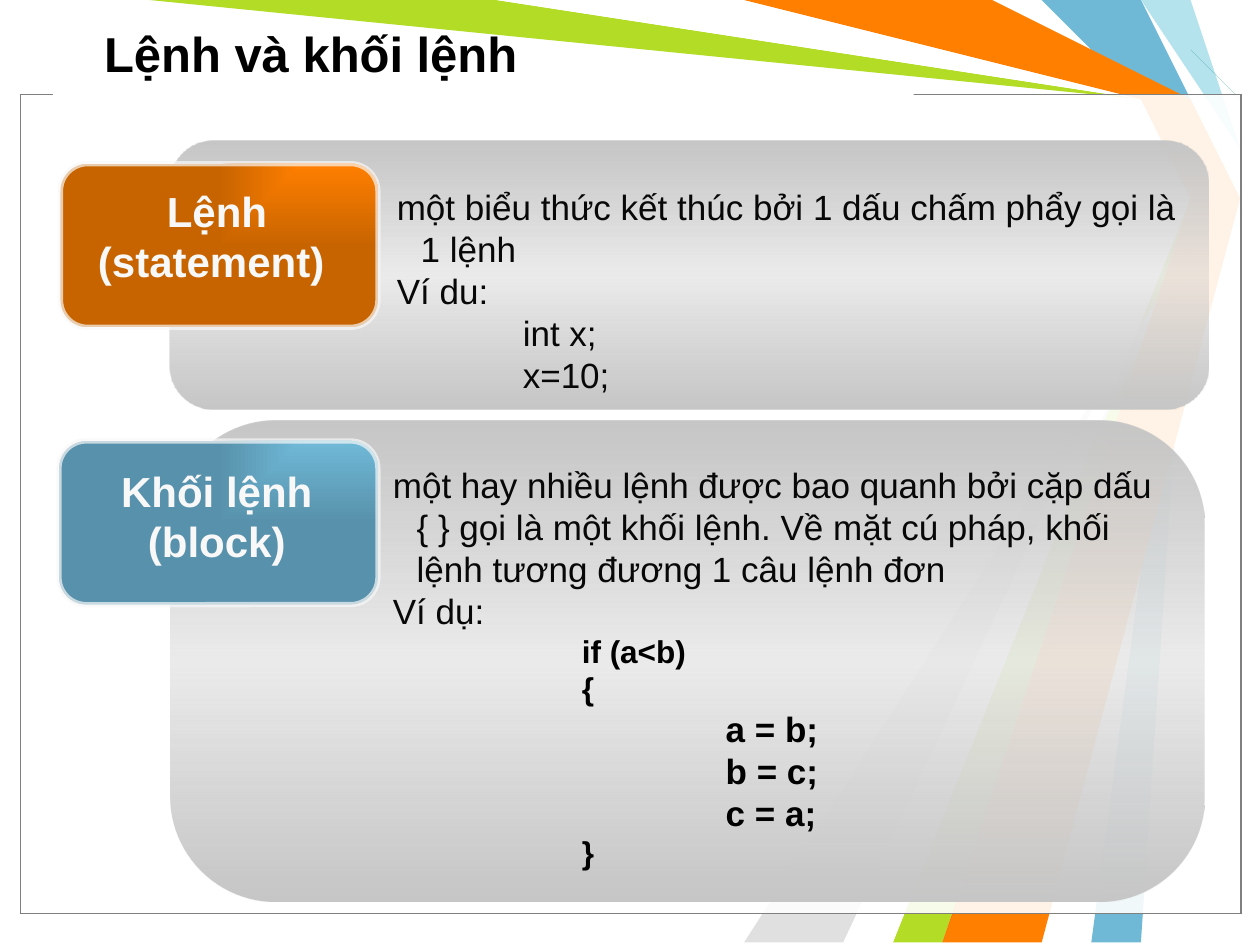
"""Build a slide that explains statements and blocks in C."""
from dataclasses import dataclass
from typing import Optional

import pptx
import pptx.dml.color
import pptx.enum.shapes
import pptx.enum.text
import pptx.oxml
import pptx.oxml.ns
import pptx.util

Cm = pptx.util.Cm
Pt = pptx.util.Pt
SHAPE = pptx.enum.shapes.MSO_SHAPE
ALIGN = pptx.enum.text.PP_ALIGN
ANCHOR = pptx.enum.text.MSO_ANCHOR
Box = tuple[float, float, float, float]
NS = pptx.oxml.ns.nsdecls("a")

LINEAR = '<a:lin ang="5400000" scaled="0"/>'
CORNER = '<a:path path="rect"><a:fillToRect l="100000" b="100000"/></a:path>'


@dataclass
class Ribbon:
    color: str
    points: list[tuple[float, float]]


@dataclass
class Line:
    text: str
    left: float = 0.48
    hang: float = -0.48
    level: int = 0
    size: int = 20
    bold: bool = False
    color: str = "080808"


@dataclass
class Topic:
    label: str
    panel: Box
    radius: float
    card: Box
    label_box: Box
    body_box: Box
    bright: str
    dark: str
    lines: list[Line]


def code(text: str, left: float, level: int, size: int) -> Line:
    return Line(text, left, 0, level, size, True, "000000")


RIBBONS = [
    Ribbon("6FB9D7", [(22.66, 0), (23.6, 1.96), (24.33, 4.24), (23.14, 19.02),
                      (21.74, 19.02), (24.13, 4.24), (23.29, 1.91), (21.29, 0)]),
    Ribbon("B3DC27", [(2.97, 0), (9.73, 0), (23.22, 1.98), (23.93, 4.29),
                      (18.85, 19.05), (17.58, 19.05), (23.75, 4.39), (22.89, 2.31)]),
    Ribbon("E0E0E0", [(16.94, 19.05), (23.55, 4.6), (15.24, 19.05)]),
    Ribbon("FFFFFF", [(9.53, 0), (23.11, 2.08), (23.67, 4.11), (17.15, 19.05),
                      (17.78, 19.05), (23.9, 4.01), (23.29, 1.91), (15.24, 0)]),
    Ribbon("B4E3EE", [(23.5, 0), (23.29, 0.43), (24.84, 3.05), (25.4, 3.18),
                      (25.4, 2.54), (23.5, 0.43), (23.67, 0)]),
    Ribbon("189180", [(25.4, 2.11), (23.93, 0.64), (25.4, 1.7)]),
    Ribbon("FF7F00", [(15.44, 0), (20.12, 0), (23.62, 1.78), (24.54, 4.29),
                      (21.16, 19.05), (18.62, 19.05), (23.93, 4.01), (23.29, 1.91)]),
    Ribbon("F93D17", [(18.59, 19.05), (23.67, 4.65), (19.02, 19.05)]),
]

TOPICS = [
    Topic("Lệnh (statement) ", (3.43, 2.84, 20.93, 5.41), 0.164,
          (1.22, 3.3, 6.4, 3.3), (1.3, 3.61, 6.15, 2.31), (7.75, 3.61, 16.41, 4.52),
          "FF7F00", "C86400", [
              Line("một biểu thức kết thúc bởi 1 dấu chấm phẩy gọi là 1 lệnh"),
              Line("Ví du:"),
              Line("int x;", 3.02, level=2),
              Line("x=10;", 3.02, level=2)]),
    Topic("Khối lệnh (block)", (3.43, 8.48, 20.85, 9.7), 0.22,
          (1.19, 8.89, 6.43, 3.3), (1.32, 9.25, 6.1, 2.31), (7.67, 9.22, 15.88, 9.4),
          "6FB9D7", "5891AB", [
              Line("một hay nhiều lệnh được bao quanh bởi cặp dấu { } gọi là một "
                   "khối lệnh. Về mặt cú pháp, khối lệnh tương đương 1 câu lệnh đơn"),
              Line("Ví dụ:"),
              code("if (a<b)", 3.81, 3, 18),
              code("{", 3.81, 3, 18),
              *[code(text, 6.71, 5, 20) for text in ("a = b;", "b = c;", "c = a;")],
              code("}", 3.81, 3, 18)]),
]


def rgb(value: str) -> pptx.dml.color.RGBColor:
    return pptx.dml.color.RGBColor.from_string(value)


def set_alpha(fill_xml, percent: int) -> None:
    clr = fill_xml.find(".//" + pptx.oxml.ns.qn("a:srgbClr"))
    clr.append(pptx.oxml.parse_xml(f'<a:alpha {NS} val="{percent * 1000}"/>'))


def add_ribbon(s, ribbon: Ribbon) -> None:
    builder = s.shapes.build_freeform(*ribbon.points[0], scale=Cm(1))
    builder.add_line_segments(ribbon.points[1:], close=True)
    sp = builder.convert_to_shape()
    sp.shadow.inherit = False
    sp.fill.solid()
    sp.fill.fore_color.rgb = rgb(ribbon.color)
    sp.line.fill.background()


def add_box(s, box: Box, kind=SHAPE.RECTANGLE, fill: Optional[str] = None,
            alpha: int = 100, line: Optional[str] = None, width: float = 0.75,
            line_alpha: int = 100, radius: Optional[float] = None):
    sp = s.shapes.add_shape(kind, *map(Cm, box))
    sp.shadow.inherit = False
    if radius is not None:
        sp.adjustments[0] = radius
    if fill:
        sp.fill.solid()
        sp.fill.fore_color.rgb = rgb(fill)
        if alpha < 100:
            set_alpha(sp._element.spPr.find(pptx.oxml.ns.qn("a:solidFill")), alpha)
    if line:
        sp.line.color.rgb = rgb(line)
        sp.line.width = Pt(width)
        if line_alpha < 100:
            set_alpha(sp._element.spPr.find(pptx.oxml.ns.qn("a:ln")), line_alpha)
    else:
        sp.line.fill.background()
    return sp


def set_gradient(sp, stops: list[tuple[int, str, int]], direction: str) -> None:
    gs = "".join(f'<a:gs pos="{pos * 1000}"><a:srgbClr val="{color}">'
                 f'<a:alpha val="{alpha * 1000}"/></a:srgbClr></a:gs>'
                 for pos, color, alpha in stops)
    sp._element.spPr.insert(2, pptx.oxml.parse_xml(
        f'<a:gradFill {NS} rotWithShape="1"><a:gsLst>{gs}</a:gsLst>{direction}</a:gradFill>'))


def add_text_box(s, box: Box, anchor=ANCHOR.TOP):
    tf = s.shapes.add_textbox(*map(Cm, box)).text_frame
    tf.word_wrap = True
    tf.vertical_anchor = anchor
    return tf


def write(p, text: str, size: int, color: str, bold: bool = False, align=ALIGN.LEFT,
          left: float = 0, hang: float = 0, level: int = 0) -> None:
    p.alignment = align
    p.level = level
    pPr = p._p.get_or_add_pPr()
    pPr.set("marL", str(Cm(left)))
    pPr.set("indent", str(Cm(hang)))
    r = p.add_run()
    r.text = text
    r.font.name = "Arial"
    r.font.size = Pt(size)
    r.font.bold = bold
    r.font.color.rgb = rgb(color)


def add_panel(s, topic: Topic) -> None:
    sp = add_box(s, topic.panel, SHAPE.ROUNDED_RECTANGLE, radius=topic.radius)
    set_gradient(sp, [(0, "C6C6C6", 100), (50, "C0C0C0", 30), (100, "C6C6C6", 100)], LINEAR)


def add_topic(s, topic: Topic) -> None:
    sp = add_box(s, topic.card, SHAPE.ROUNDED_RECTANGLE, line="F8F8F8", width=3,
                 line_alpha=70, radius=0.167)
    set_gradient(sp, [(0, topic.bright, 100), (100, topic.dark, 100)], CORNER)
    tf = add_text_box(s, topic.label_box)
    write(tf.paragraphs[0], topic.label, 24, "F8F8F8", bold=True, align=ALIGN.CENTER)
    tf = add_text_box(s, topic.body_box)
    for i, line in enumerate(topic.lines):
        p = tf.add_paragraph() if i else tf.paragraphs[0]
        write(p, line.text, line.size, line.color, bold=line.bold,
              left=line.left, hang=line.hang, level=line.level)


def main() -> None:
    prs = pptx.Presentation()
    prs.slide_width, prs.slide_height = Cm(25.4), Cm(19.05)
    s = prs.slides.add_slide(prs.slide_layouts[6])
    for ribbon in RIBBONS:
        add_ribbon(s, ribbon)
    for line in ("000000", "808080"):
        add_box(s, (0.41, 1.9, 24.61, 16.51), fill="FFFFFF", alpha=69, line=line)
    add_box(s, (1.07, 1.88, 17.35, 0.43), fill="FFFFFF")
    tf = add_text_box(s, (1.85, 0.2, 23.14, 1.75), ANCHOR.MIDDLE)
    write(tf.paragraphs[0], "Lệnh và khối lệnh", 28, "000000", bold=True)
    for topic in TOPICS:
        add_panel(s, topic)
    for topic in TOPICS:
        add_topic(s, topic)
    prs.save("out.pptx")


if __name__ == "__main__":
    main()
